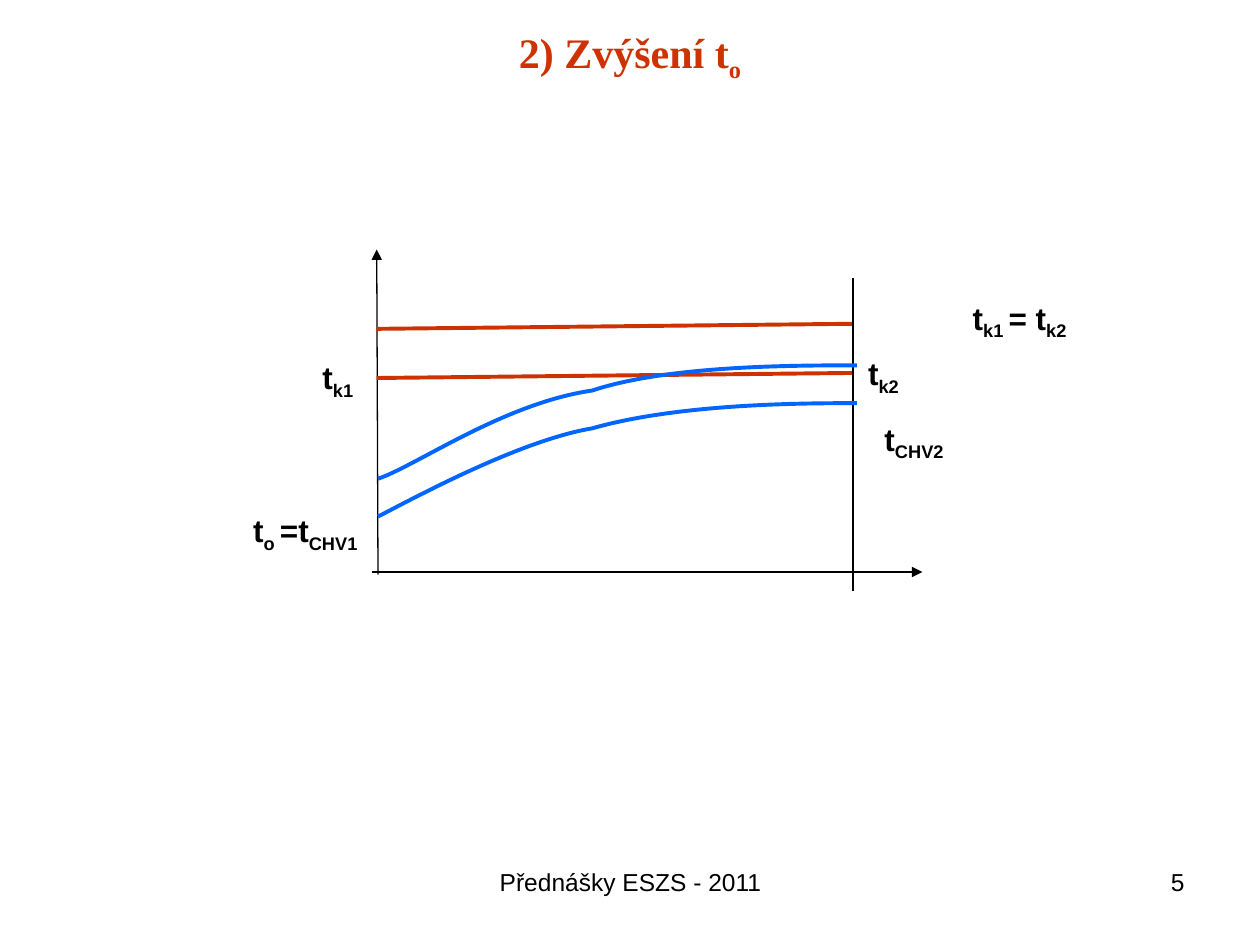
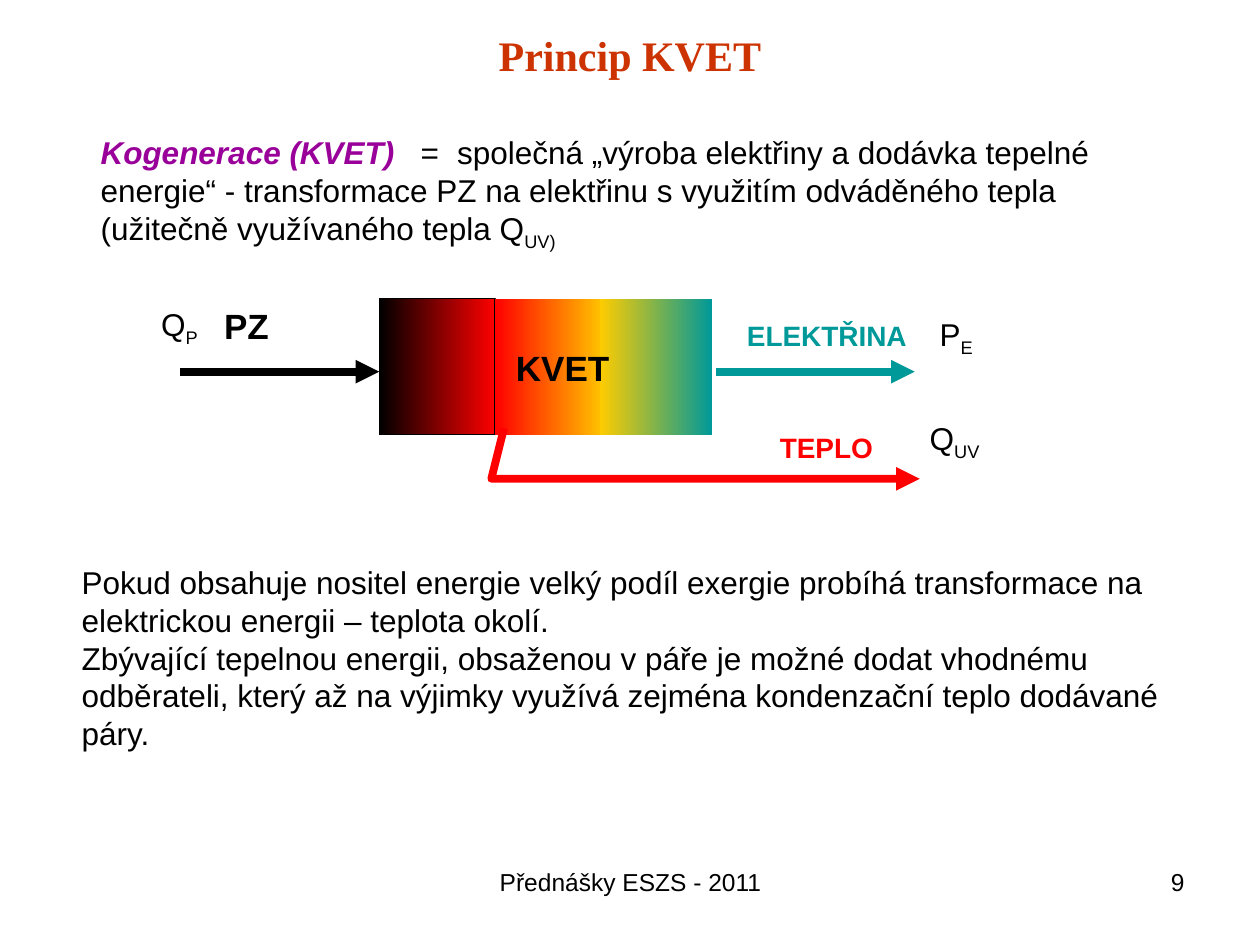
"""Build two lecture slides: a condenser temperature chart and the cogeneration principle."""
from dataclasses import dataclass

from lxml.etree import SubElement
from pptx import Presentation
from pptx.dml.color import RGBColor as Rgb
from pptx.enum.shapes import MSO_CONNECTOR as Connector, MSO_SHAPE as Preset
from pptx.enum.text import MSO_ANCHOR as Anchor, PP_ALIGN as Align
from pptx.oxml.ns import qn
from pptx.util import Inches, Pt


@dataclass(frozen=True)
class Theme:
    black: str = "000000"
    rust: str = "CC3300"
    blue: str = "0066FF"
    teal: str = "009999"
    red: str = "FF0000"
    yellow: str = "FFCC00"
    purple: str = "990099"
    title_font: str = "Times New Roman"
    body_font: str = "Arial"
    title: int = 24
    big: int = 20
    body: int = 18
    label: int = 16
    footer: int = 14
    thin: float = 0.75
    wall: float = 1.5
    curve: float = 2.25
    flow: float = 4.5


theme = Theme()
deck = Presentation()
deck.slide_width, deck.slide_height = Inches(10), Inches(7.5)
CELL = deck.slide_width // 100


def write(page, place, paragraphs, size=theme.body, color=theme.black, bold=False,
          align=Align.LEFT, font=theme.body_font, anchor=Anchor.TOP, padded=True, tabs=()):
    box = page.shapes.add_textbox(*(round(cells * CELL) for cells in place))
    frame = box.text_frame
    frame.word_wrap = True
    frame.vertical_anchor = anchor
    if not padded:
        frame.margin_left = frame.margin_right = frame.margin_top = frame.margin_bottom = 0
    for index, spans in enumerate(paragraphs):
        para = frame.add_paragraph() if index else frame.paragraphs[0]
        para.alignment = align
        if tabs:
            stops = SubElement(para._p.get_or_add_pPr(), qn("a:tabLst"))
            for stop in tabs:
                SubElement(stops, qn("a:tab"), pos=str(round(stop * CELL)), algn="l")
        for text, kind in spans:
            span = para.add_run()
            span.text = text
            span.font.name, span.font.size = font, Pt(size)
            span.font.bold = bold or kind == "term"
            span.font.italic = kind == "term"
            span.font.color.rgb = Rgb.from_string(theme.purple if kind == "term" else color)
            if kind == "sub":
                span.font._element.set("baseline", "-25000")


def stroke(item, color, width, arrow=False):
    item.line.color.rgb = Rgb.from_string(color)
    item.line.width = Pt(width)
    outline = item.line._get_or_add_ln()
    SubElement(outline, qn("a:round"))
    if arrow:
        SubElement(outline, qn("a:tailEnd"), type="triangle")
    SubElement(item._element.spPr, qn("a:effectLst"))


titles = {
    "5": [("2) Zvýšení t", ""), ("o", "sub")],
    "9": [("Princip KVET", "")],
}
pages = []
for number, title in titles.items():
    page = deck.slides.add_slide(deck.slide_layouts[6])
    write(page, (5, 1.7, 90, 5.3), [title], theme.title, theme.rust, True,
          Align.CENTER, theme.title_font, Anchor.MIDDLE)
    write(page, (34.2, 68.3, 31.7, 5.2), [[("Přednášky ESZS - 2011", "")]],
          theme.footer, align=Align.CENTER)
    write(page, (71.7, 68.3, 23.3, 5.2), [[(number, "")]], theme.footer, align=Align.RIGHT)
    pages.append(page)
chart_page, kvet_page = pages

straight_lines = [
    (chart_page, (30, 45.6, 29.9, 19.8), theme.black, theme.thin, True),
    (chart_page, (29.5, 45.4, 73.2, 45.4), theme.black, theme.thin, True),
    (chart_page, (29.9, 30, 67.7, 29.6), theme.rust, theme.curve, False),
    (chart_page, (29.9, 26.1, 67.7, 25.7), theme.rust, theme.curve, False),
    (chart_page, (67.7, 22.1, 67.7, 46.9), theme.black, theme.wall, False),
    (kvet_page, (14.3, 29.5, 30.1, 29.5), theme.black, theme.flow, True),
    (kvet_page, (56.8, 29.5, 72.6, 29.5), theme.teal, theme.flow, True),
]
for page, ends, color, width, arrow in straight_lines:
    line = page.shapes.add_connector(Connector.STRAIGHT, *(round(cells * CELL) for cells in ends))
    stroke(line, color, width, arrow)

coolant_curves = [
    [(29.5, 41), (32.5, 39.8), (41.1, 35.4), (47.4, 33.8), (53.8, 32.2), (63.5, 32), (67.7, 31.6)],
    [(29.8, 38.2), (32.6, 37), (40.4, 32.5), (46.8, 30.9), (53.1, 29.3), (63.4, 29.1), (67.8, 28.6)],
]
heat_route = [(39.5, 34.4), (39.4, 37.9), (72.6, 37.9)]
outlines = [(chart_page, curve, theme.blue, theme.curve, False) for curve in coolant_curves]
outlines.append((kvet_page, heat_route, theme.red, theme.flow, True))

block_parts = [
    (30.1, 9.2, theme.black, theme.red),
    (39.3, 8.9, theme.red, theme.yellow),
    (47.6, 8.9, theme.yellow, theme.teal),
]
for left, width, start, end in block_parts:
    part = kvet_page.shapes.add_shape(
        Preset.RECTANGLE, *(round(cells * CELL) for cells in (left, 23.7, width, 10.8)))
    part.shadow.inherit = False
    part.fill.gradient()
    part.fill.gradient_angle = 0
    for stop, color in zip(part.fill.gradient_stops, (start, end)):
        stop.color.rgb = Rgb.from_string(color)
    if start == theme.black:
        part.line.color.rgb = Rgb.from_string(theme.black)
        part.line.width = Pt(theme.thin)
    else:
        part.line.fill.background()

for page, points, color, width, arrow in outlines:
    builder = page.shapes.build_freeform(*points[0], scale=CELL)
    builder.add_line_segments(points[1:], close=False)
    outline = builder.convert_to_shape()
    outline.fill.background()
    stroke(outline, color, width, arrow)
    if points in coolant_curves:
        segments = list(outline._element.iter(qn("a:lnTo")))
        for first in range(0, len(segments), 3):
            bend = SubElement(segments[first].getparent(), qn("a:cubicBezTo"))
            for segment in segments[first:first + 3]:
                bend.append(segment[0])
                segment.getparent().remove(segment)

temperature_labels = [
    ((20.1, 40.6, 9.8, 3.4), [("t", ""), ("o ", "sub"), ("=t", ""), ("CHV1", "sub")]),
    ((70.2, 33.3, 8, 3.4), [("t", ""), ("CHV2", "sub")]),
    ((25.6, 28.4, 3.6, 3.4), [("t", ""), ("k1", "sub")]),
    ((68.9, 28.1, 3.6, 3.4), [("t", ""), ("k2", "sub")]),
    ((77.2, 23.7, 12.6, 3.4), [("t", ""), ("k1 ", "sub"), ("= t", ""), ("k2", "sub")]),
]
for place, spans in temperature_labels:
    write(chart_page, place, [spans], bold=True, padded=False)

flow_names = [
    ((16.8, 23.7, 8, 4.4), "PZ", theme.big, theme.black, Align.LEFT),
    ((58.3, 24.8, 20.8, 3.7), "ELEKTŘINA", theme.label, theme.teal, Align.LEFT),
    ((33.4, 27, 22.5, 4.4), "KVET", theme.big, theme.black, Align.CENTER),
    ((60.9, 33.7, 10.1, 3.7), "TEPLO", theme.label, theme.red, Align.LEFT),
]
for place, name, size, color, align in flow_names:
    write(kvet_page, place, [[(name, "")]], size, color, True, align)

for left, top, symbol, index in [(72.8, 32.8, "Q", "UV"), (73.6, 24.5, "P", "E"), (11.8, 23.7, "Q", "P")]:
    write(kvet_page, (left, top, 10.6, 4.4), [[(symbol, ""), (index, "sub")]])

definition = [
    ("Kogenerace (KVET)", "term"),
    ("\t=\tspolečná „výroba elektřiny a dodávka tepelné energie“ - transformace PZ na elektřinu "
     "s využitím odváděného tepla (užitečně využívaného tepla Q", ""),
    ("UV)", "sub"),
]
write(kvet_page, (7, 10.1, 88.1, 11.8), [definition], tabs=(25.4, 28.3))

explanation = [
    "Pokud obsahuje nositel energie velký podíl exergie probíhá transformace na elektrickou "
    "energii – teplota okolí.",
    "Zbývající tepelnou energii, obsaženou v páře je možné dodat vhodnému odběrateli, "
    "který až na výjimky využívá zejména kondenzační teplo dodávané",
    "páry.",
]
write(kvet_page, (5.5, 44.2, 88.2, 16), [[(sentence, "")] for sentence in explanation])

deck.save("out.pptx")
